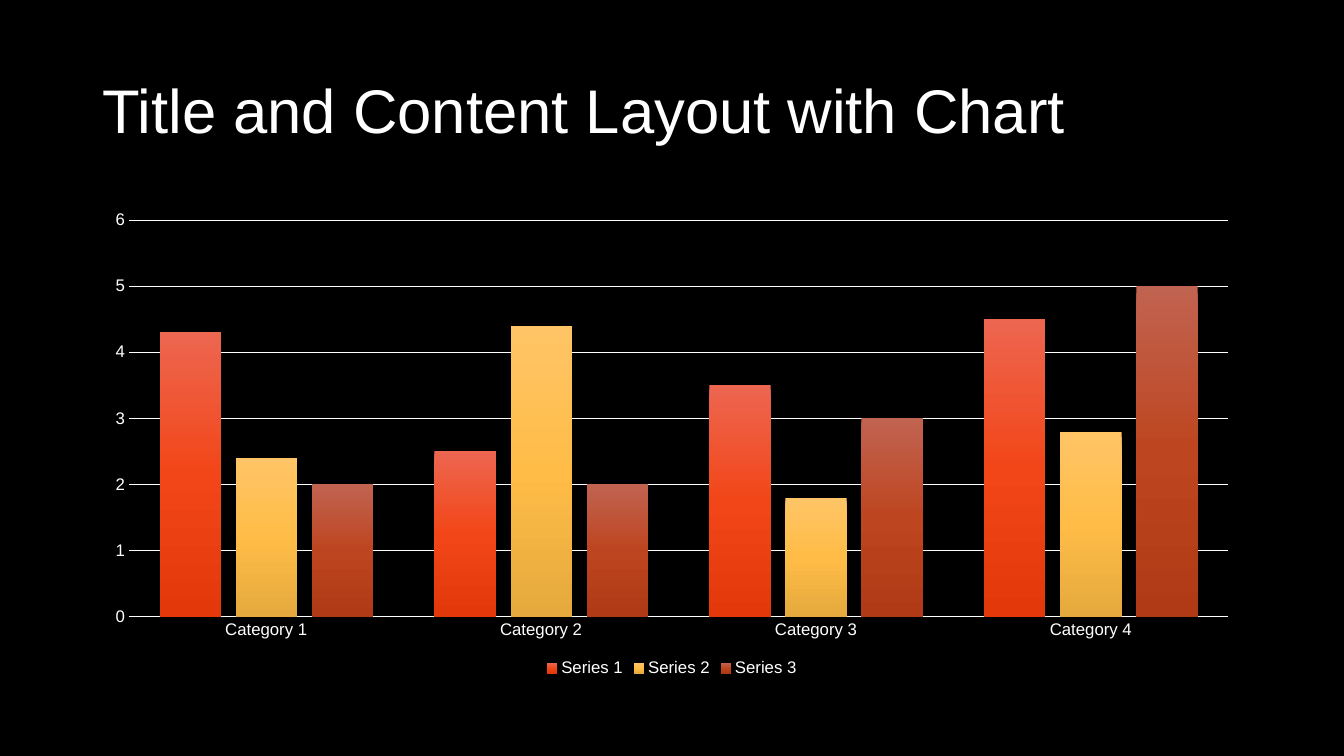
from lxml import etree
from pptx import Presentation
from pptx.chart import data as chart_data
from pptx.dml.color import RGBColor
from pptx.enum import chart as kinds, text
from pptx.oxml import ns
from pptx.util import Pt

BLACK = RGBColor(0x00, 0x00, 0x00)
WHITE = RGBColor(0xFF, 0xFF, 0xFF)
RED = (RGBColor(0xED, 0x66, 0x50), RGBColor(0xF2, 0x46, 0x18), RGBColor(0xE2, 0x38, 0x0A))
YELLOW = (RGBColor(0xFF, 0xC4, 0x66), RGBColor(0xFF, 0xBD, 0x47), RGBColor(0xE5, 0xA9, 0x3D))
BROWN = (RGBColor(0xC1, 0x63, 0x51), RGBColor(0xBD, 0x45, 0x1F), RGBColor(0xAF, 0x3A, 0x15))

FONT = "Arial"
LEFT, WIDTH = Pt(66), Pt(828)
CATEGORIES = ["Category 1", "Category 2", "Category 3", "Category 4"]
SERIES = [
    ("Series 1", (4.3, 2.5, 3.5, 4.5), RED),
    ("Series 2", (2.4, 4.4, 1.8, 2.8), YELLOW),
    ("Series 3", (2, 2, 3, 5), BROWN),
]


def style_font(font, size):
    font.name = FONT
    font.size = Pt(size)
    font.color.rgb = WHITE


def style_line(line, width):
    line.color.rgb = WHITE
    line.width = Pt(width)


def add_title(page, words):
    box = page.shapes.add_textbox(LEFT, Pt(29), WIDTH, Pt(104.4))
    frame = box.text_frame
    frame.word_wrap = True
    frame.vertical_anchor = text.MSO_ANCHOR.MIDDLE
    para = frame.paragraphs[0]
    para.text = words
    para.line_spacing = 0.9
    style_font(para.font, 44)


def fill_downward(fill, colors):
    fill.gradient()
    fill.gradient_angle = 270
    stops = fill.gradient_stops[0]._gs.getparent()
    for stop in list(stops):
        stops.remove(stop)
    for index, color in enumerate(colors):
        position = 100000 * index // (len(colors) - 1)
        stop = etree.SubElement(stops, ns.qn("a:gs"), pos=str(position))
        etree.SubElement(stop, ns.qn("a:srgbClr"), val=str(color))


def style_axis(axis):
    axis.major_tick_mark = kinds.XL_TICK_MARK.NONE
    axis.minor_tick_mark = kinds.XL_TICK_MARK.NONE
    style_font(axis.tick_labels.font, 12)


def add_column_chart(page):
    values = chart_data.CategoryChartData()
    values.categories = CATEGORIES
    for name, numbers, _ in SERIES:
        values.add_series(name, numbers)
    chart = page.shapes.add_chart(
        kinds.XL_CHART_TYPE.COLUMN_CLUSTERED, LEFT, Pt(144), WIDTH, Pt(342.6), values
    ).chart
    style_font(chart.font, 10)
    chart.has_title = False

    chart.has_legend = True
    chart.legend.position = kinds.XL_LEGEND_POSITION.BOTTOM
    chart.legend.include_in_layout = False
    style_font(chart.legend.font, 12)

    style_axis(chart.category_axis)
    style_line(chart.category_axis.format.line, 1)
    scale = chart.value_axis
    style_axis(scale)
    scale.minimum_scale, scale.maximum_scale, scale.major_unit = 0, 6, 1
    scale.format.line.fill.background()
    style_line(scale.major_gridlines.format.line, 0.75)

    plot = chart.plots[0]
    plot.gap_width = 100
    plot.overlap = -24
    plot.vary_by_categories = False
    for series, (_, _, colors) in zip(plot.series, SERIES):
        fill_downward(series.format.fill, colors)


def main():
    deck = Presentation()
    deck.slide_width, deck.slide_height = Pt(960), Pt(540)
    page = deck.slides.add_slide(deck.slide_layouts[6])
    page.background.fill.solid()
    page.background.fill.fore_color.rgb = BLACK
    add_column_chart(page)
    add_title(page, "Title and Content Layout with Chart")
    deck.save("out.pptx")


if __name__ == "__main__":
    main()
